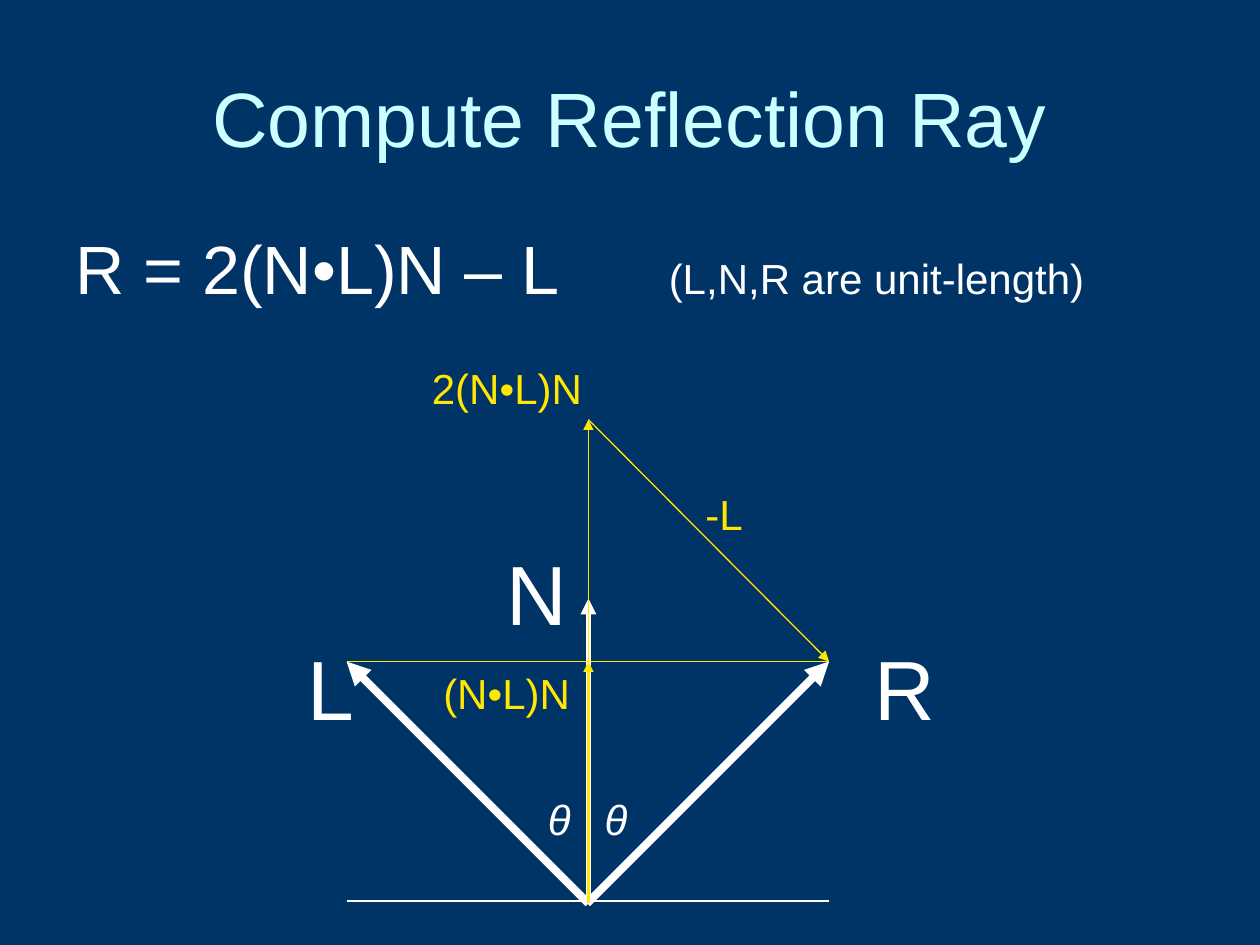
from dataclasses import dataclass

import pptx
import pptx.dml.color
import pptx.enum.shapes
import pptx.enum.text
import pptx.oxml.ns
import pptx.util
from lxml import etree

Inches = pptx.util.Inches
RGBColor = pptx.dml.color.RGBColor
Align = pptx.enum.text.PP_ALIGN
Anchor = pptx.enum.text.MSO_ANCHOR

NAVY = RGBColor(0x00, 0x33, 0x66)
PALE_CYAN = RGBColor(0xCC, 0xFF, 0xFF)
WHITE = RGBColor(0xFF, 0xFF, 0xFF)
YELLOW = RGBColor(0xFF, 0xE7, 0x01)
FONT = "Arial"

# Key points of the reflection diagram
ORIGIN = (4.67, 7.17)
L_TIP = (2.75, 5.25)
R_TIP = (6.58, 5.25)
N_TIP = (4.67, 4.75)
PROJECTION = (4.67, 5.25)
DOUBLE_PROJECTION = (4.67, 3.33)


@dataclass
class Ray:
    start: tuple[float, float]
    end: tuple[float, float]
    color: RGBColor
    width: float
    arrow: bool = True


@dataclass
class Label:
    text: str
    left: float
    top: float
    width: float
    height: float = 0.5
    size: float = 24
    color: RGBColor = WHITE
    italic: bool = False
    wrap: bool = False
    align: Align = Align.JUSTIFY
    anchor: Anchor = Anchor.TOP
    grow: bool = True


RAYS_BEHIND = [
    Ray(ORIGIN, N_TIP, WHITE, 3),
    Ray(ORIGIN, L_TIP, WHITE, 4.5),
    Ray((2.75, 7.15), (6.58, 7.15), WHITE, 0.75, arrow=False),
    Ray((4.66, 7.17), R_TIP, WHITE, 4.5),
]
RAYS_FRONT = [
    Ray(L_TIP, R_TIP, YELLOW, 0.75, arrow=False),
    Ray(ORIGIN, DOUBLE_PROJECTION, YELLOW, 0.5),
    Ray(DOUBLE_PROJECTION, R_TIP, YELLOW, 0.75),
    Ray(ORIGIN, PROJECTION, YELLOW, 1.5),
]
TITLE = Label("Compute Reflection Ray", 0.5, 0.3, 9, 1.25, 44, PALE_CYAN,
              wrap=True, align=Align.CENTER, anchor=Anchor.MIDDLE, grow=False)
FORMULA = Label("R = 2(N•L)N – L", 0.5, 1.75, 9, 4.95, 39,
                wrap=True, align=Align.LEFT, grow=False)
VECTOR_LABELS = [
    Label("R", 6.84, 5, 0.68, 0.9, 48),
    Label("N", 3.92, 4.25, 0.68, 0.9, 48),
    Label("L", 2.34, 5, 0.57, 0.9, 48),
    Label("θ", 4.25, 6.25, 0.38, italic=True),
    Label("θ", 4.7, 6.25, 0.38, italic=True),
]
PROJECTION_LABELS = [
    Label("2(N•L)N", 3.33, 2.83, 1.5, color=YELLOW, wrap=True),
    Label("-L", 5.5, 3.83, 0.5, color=YELLOW, wrap=True),
    Label("(N•L)N", 3.42, 5.25, 1.5, color=YELLOW, wrap=True),
]


def add_span(para, text: str, size: float, color: RGBColor, italic: bool = False) -> None:
    span = para.add_run()
    span.text = text
    span.font.name = FONT
    span.font.size = pptx.util.Pt(size)
    span.font.color.rgb = color
    span.font.italic = italic


def add_label(page, label: Label):
    box = page.shapes.add_textbox(Inches(label.left), Inches(label.top),
                                  Inches(label.width), Inches(label.height))
    frame = box.text_frame
    frame.word_wrap = label.wrap
    frame.vertical_anchor = label.anchor
    sizing = pptx.enum.text.MSO_AUTO_SIZE
    frame.auto_size = sizing.SHAPE_TO_FIT_TEXT if label.grow else sizing.NONE
    para = frame.paragraphs[0]
    para.alignment = label.align
    add_span(para, label.text, label.size, label.color, label.italic)
    return para


def add_tab_stop(para, position: float) -> None:
    qn = pptx.oxml.ns.qn
    tabs = etree.SubElement(para._p.get_or_add_pPr(), qn("a:tabLst"))
    etree.SubElement(tabs, qn("a:tab"), pos=str(Inches(position)), algn="l")


def add_ray(page, ray: Ray) -> None:
    qn = pptx.oxml.ns.qn
    line = page.shapes.add_connector(
        pptx.enum.shapes.MSO_CONNECTOR.STRAIGHT,
        *(Inches(value) for value in ray.start + ray.end))
    line.line.color.rgb = ray.color
    line.line.width = pptx.util.Pt(ray.width)
    if ray.arrow:
        etree.SubElement(line.line._get_or_add_ln(), qn("a:tailEnd"), type="triangle")
    etree.SubElement(line._element.spPr, qn("a:effectLst"))


def main() -> None:
    deck = pptx.Presentation()
    deck.slide_width = Inches(10)
    deck.slide_height = Inches(7.5)
    page = deck.slides.add_slide(deck.slide_layouts[6])
    page.background.fill.solid()
    page.background.fill.fore_color.rgb = NAVY

    # Title and formula, with the remark set off by a tab
    add_label(page, TITLE)
    formula = add_label(page, FORMULA)
    add_tab_stop(formula, 4.71)
    add_span(formula, "\t(L,N,R are unit-length)", 24, WHITE)

    # Unit vectors and their names
    for ray in RAYS_BEHIND:
        add_ray(page, ray)
    for label in VECTOR_LABELS:
        add_label(page, label)

    # Projection construction on top
    for label in PROJECTION_LABELS:
        add_label(page, label)
    for ray in RAYS_FRONT:
        add_ray(page, ray)

    deck.save("out.pptx")


if __name__ == "__main__":
    main()
